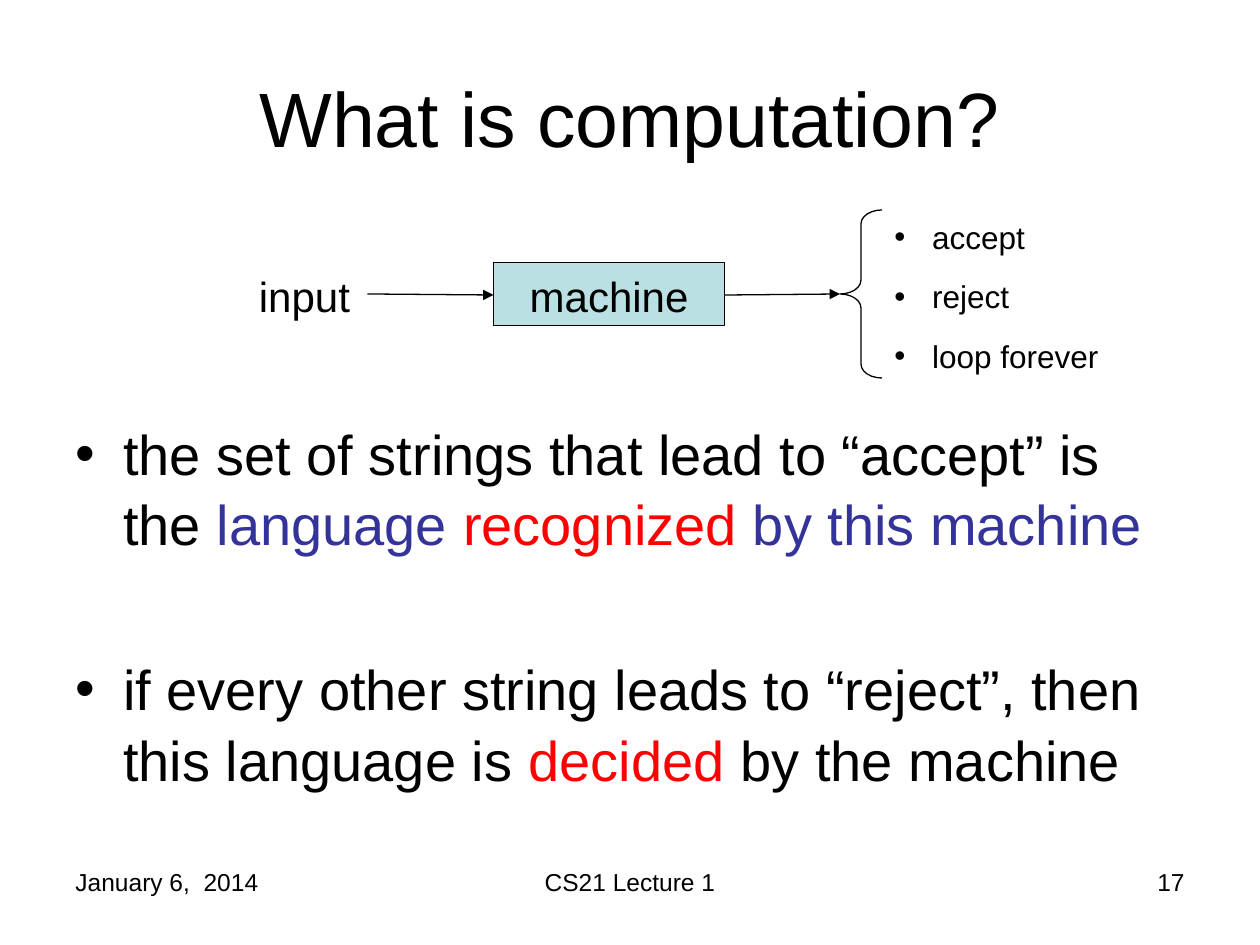
from lxml import etree
from pptx import Presentation
from pptx.dml.color import RGBColor
from pptx.enum.shapes import MSO_CONNECTOR, MSO_SHAPE
from pptx.enum.text import MSO_ANCHOR, PP_ALIGN
from pptx.oxml.ns import qn
from pptx.util import Inches, Pt

LEFT, CENTER, RIGHT = PP_ALIGN.LEFT, PP_ALIGN.CENTER, PP_ALIGN.RIGHT
TOP, MIDDLE = MSO_ANCHOR.TOP, MSO_ANCHOR.MIDDLE

FONT = "Arial"
COLORS = {"ink": "000000", "blue": "333399", "red": "FF0000",
          "machine": "BBE0E3", "page": "FFFFFF"}
CELL = 1 / 12  # inches; the slide is a grid of 120 columns by 90 rows
LINE_WIDTH = 0.75

# Each paragraph is a list of (text, color) spans.
TITLE = [[("What is computation?", "ink")]]
POINTS = [
    [("the set of strings that lead to “accept” is the ", "ink"),
     ("language ", "blue"), ("recognized", "red"),
     (" by this machine", "blue")],
    [("if every other string leads to “reject”, then this language is ", "ink"),
     ("decided", "red"), (" by the machine", "ink")],
]
OUTCOMES = [[(word, "ink")] for word in ("accept", "reject", "loop forever")]
INPUT = [[("input", "ink")]]
MACHINE = [[("machine", "ink")]]

# Places are (left, top, width, height) in grid cells.
MACHINE_PLACE = (47, 25, 22, 6)
BRACE_PLACE = (80, 20, 4, 16)
TEXTS = [
    (TITLE, (6, 3.6, 108, 15), {"size": 44, "align": CENTER, "anchor": MIDDLE}),
    (POINTS, (6, 39, 108, 41.4),
     {"size": 32, "indent": 0.38, "gap": 54, "spacing": 1.05}),
    (INPUT, (23, 25, 12, 6),
     {"size": 24, "align": CENTER, "anchor": MIDDLE, "spacing": 1.05}),
    (OUTCOMES, (84, 20, 29, 16),
     {"size": 18, "indent": 0.3, "gap": 11.2, "spacing": 1.05}),
]
FOOTER_TOP, FOOTER_HEIGHT = 82, 6.25
FOOTERS = [("January 6,  2014", 6, 28, LEFT),
           ("CS21 Lecture 1", 41, 38, CENTER),
           ("17", 86, 28, RIGHT)]
ARROWS = [((35, 28), (47, 28.1)), ((69, 28.1), (80, 28))]


def color(name):
    return RGBColor.from_string(COLORS[name])


def cells(values):
    return [Inches(value * CELL) for value in values]


def add_bullet(para, indent):
    properties = para._p.get_or_add_pPr()
    properties.set("marL", str(Inches(indent)))
    properties.set("indent", str(-Inches(indent)))
    etree.SubElement(properties, qn("a:buFont"), typeface=FONT)
    etree.SubElement(properties, qn("a:buChar"), char="•")


def write(box, paragraphs, size, align=LEFT, anchor=TOP, indent=0, gap=0,
          spacing=1.0):
    frame = box.text_frame
    frame.word_wrap = True
    frame.vertical_anchor = anchor
    for index, spans in enumerate(paragraphs):
        para = frame.add_paragraph() if index else frame.paragraphs[0]
        if indent:
            add_bullet(para, indent)
        layout = {"alignment": align, "line_spacing": spacing,
                  "space_before": Pt(gap if index else 0)}
        for name, value in layout.items():
            setattr(para, name, value)
        for text, ink in spans:
            span = para.add_run()
            span.text = text
            for name, value in {"name": FONT, "size": Pt(size)}.items():
                setattr(span.font, name, value)
            span.font.color.rgb = color(ink)


def add_outlined(page, kind, place):
    shape = page.shapes.add_shape(kind, *cells(place))
    shape.shadow.inherit = False
    shape.line.color.rgb = color("ink")
    shape.line.width = Pt(LINE_WIDTH)
    return shape


def add_arrow(page, start, end):
    arrow = page.shapes.add_connector(MSO_CONNECTOR.STRAIGHT,
                                      *cells(start + end))
    arrow.line.color.rgb = color("ink")
    arrow.line.width = Pt(LINE_WIDTH)
    etree.SubElement(arrow.line._get_or_add_ln(), qn("a:tailEnd"),
                     type="triangle")
    etree.SubElement(arrow._element.spPr, qn("a:effectLst"))


def main():
    deck = Presentation()
    deck.slide_width, deck.slide_height = cells((120, 90))
    page = deck.slides.add_slide(deck.slide_layouts[6])
    page.background.fill.solid()
    page.background.fill.fore_color.rgb = color("page")

    for text, left, width, align in FOOTERS:
        place = (left, FOOTER_TOP, width, FOOTER_HEIGHT)
        write(page.shapes.add_textbox(*cells(place)), [[(text, "ink")]],
              size=14, align=align)
    for paragraphs, place, style in TEXTS:
        write(page.shapes.add_textbox(*cells(place)), paragraphs, **style)

    machine = add_outlined(page, MSO_SHAPE.RECTANGLE, MACHINE_PLACE)
    machine.fill.solid()
    machine.fill.fore_color.rgb = color("machine")
    write(machine, MACHINE, size=24, align=CENTER, anchor=MIDDLE, spacing=1.05)

    brace = add_outlined(page, MSO_SHAPE.LEFT_BRACE, BRACE_PLACE)
    brace.fill.background()
    brace.adjustments[0] = 0.33

    for start, end in ARROWS:
        add_arrow(page, start, end)
    deck.save("out.pptx")


if __name__ == "__main__":
    main()
